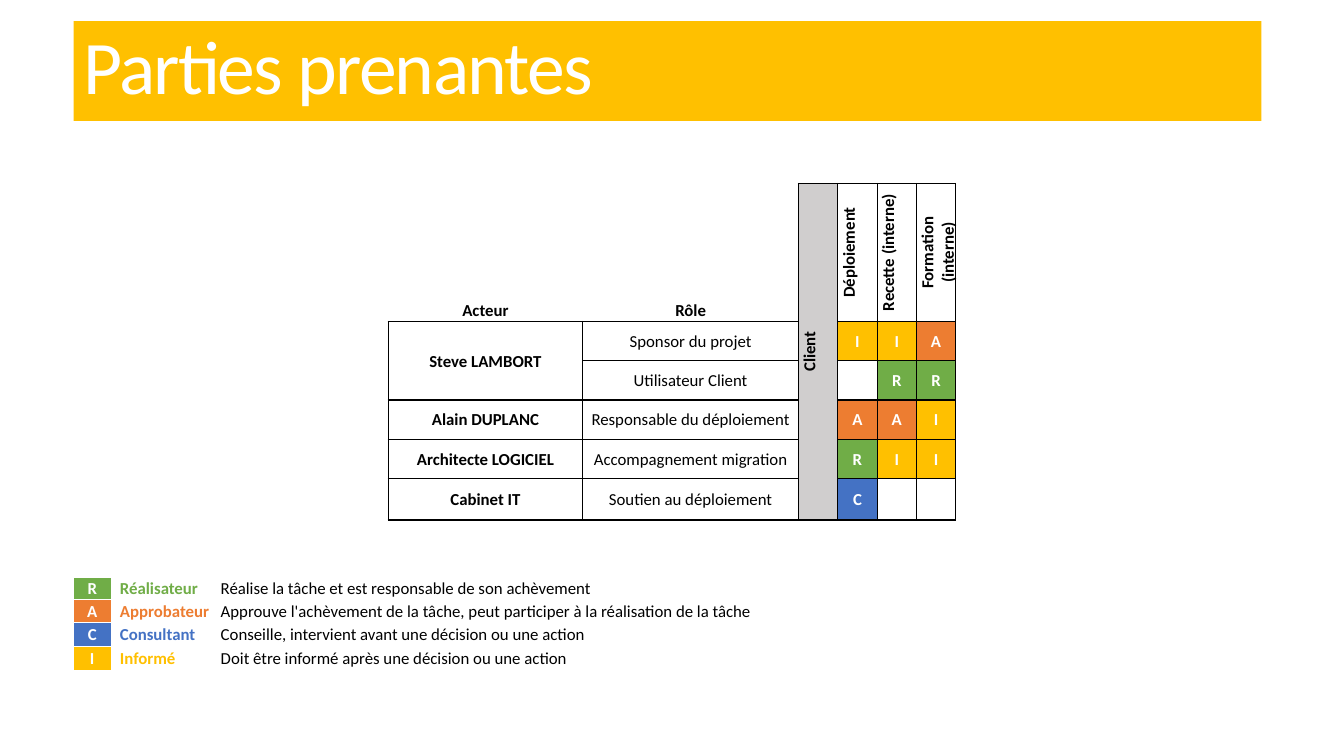
import pptx
import pptx.util
import pptx.dml.color
import pptx.enum.shapes
import pptx.enum.text
from lxml import etree
from pptx.util import Inches

FONT = "Calibri"
BLACK, WHITE, GREY, GOLD = "000000", "FFFFFF", "D0CECE", "FFC000"
CODE_COLORS = {"R": "70AD47", "A": "ED7D31", "C": "4472C4", "I": GOLD}
CENTER = pptx.enum.text.PP_ALIGN.CENTER
LEFT = pptx.enum.text.PP_ALIGN.LEFT
MIDDLE = pptx.enum.text.MSO_ANCHOR.MIDDLE
BOTTOM = pptx.enum.text.MSO_ANCHOR.BOTTOM
A = "{http://schemas.openxmlformats.org/drawingml/2006/main}"

HEADERS = ["Acteur", "Rôle", "Client", "Déploiement", "Recette (interne)",
           "Formation (interne)"]
ACTORS = [
    ("Steve LAMBORT", "Sponsor du projet", "I", "I", "A"),
    ("", "Utilisateur Client", "", "R", "R"),
    ("Alain DUPLANC", "Responsable du déploiement", "A", "A", "I"),
    ("Architecte LOGICIEL", "Accompagnement migration", "R", "I", "I"),
    ("Cabinet IT", "Soutien au déploiement", "C", "", ""),
]
LEGEND = [
    ("R", "Réalisateur", "Réalise la tâche et est responsable de son achèvement"),
    ("A", "Approbateur", "Approuve l'achèvement de la tâche, "
                         "peut participer à la réalisation de la tâche"),
    ("C", "Consultant", "Conseille, intervient avant une décision ou une action"),
    ("I", "Informé", "Doit être informé après une décision ou une action"),
]


def rgb(value):
    return pptx.dml.color.RGBColor.from_string(value)


def style_font(font, size, color, bold=False):
    font.name, font.size, font.bold = FONT, pptx.util.Pt(size), bold
    font.color.rgb = rgb(color)


def set_borders(cell, sides, color, width):
    """Draw the listed sides (a subset of "LRTB") and clear the others."""
    properties = cell._tc.get_or_add_tcPr()
    for side in "LRTB":
        line = etree.SubElement(properties, f"{A}ln{side}",
                                w=str(pptx.util.Pt(width)))
        if side in sides:
            fill = etree.SubElement(line, f"{A}solidFill")
            etree.SubElement(fill, f"{A}srgbClr", val=color)
        else:
            etree.SubElement(line, f"{A}noFill")


def fill_cell(cell, text, color=BLACK, bold=True, fill=WHITE, align=CENTER,
              anchor=MIDDLE, left=0.01, vertical=False):
    if fill:
        cell.fill.solid()
        cell.fill.fore_color.rgb = rgb(fill)
    else:
        cell.fill.background()
    cell.margin_left = Inches(left)
    cell.margin_right = cell.margin_top = Inches(0.01)
    cell.margin_bottom = 0
    cell.vertical_anchor = anchor
    if vertical:
        cell._tc.get_or_add_tcPr().set("vert", "vert270")
    cell.text_frame.text = text
    paragraph = cell.text_frame.paragraphs[0]
    paragraph.alignment = align
    style_font(paragraph.font, 12, color, bold)
    for run in paragraph.runs:
        style_font(run.font, 12, color, bold)


def add_grid(slide, left, top, widths, heights):
    table = slide.shapes.add_table(
        len(heights), len(widths), Inches(left), Inches(top),
        Inches(sum(widths)), Inches(sum(heights))).table
    table.first_row = table.horz_banding = False
    for column, width in zip(table.columns, widths):
        column.width = Inches(width)
    for row, height in zip(table.rows, heights):
        row.height = Inches(height)
    return table


def add_title(slide, left, top, width, height):
    banner = slide.shapes.add_shape(
        pptx.enum.shapes.MSO_SHAPE.RECTANGLE,
        Inches(left), Inches(top), Inches(width), Inches(height))
    banner.shadow.inherit = False
    banner.fill.solid()
    banner.fill.fore_color.rgb = rgb(GOLD)
    banner.line.fill.background()
    banner.text_frame.word_wrap = True
    banner.text_frame.vertical_anchor = MIDDLE
    banner.text_frame.text = "Parties prenantes"
    paragraph = banner.text_frame.paragraphs[0]
    paragraph.alignment = LEFT
    paragraph.line_spacing = 0.85
    title = paragraph.runs[0]
    style_font(title.font, 54, WHITE)
    title.font._element.set("spc", "-120")


def add_raci_matrix(slide, left, top):
    table = add_grid(slide, left, top, [1.93, 2.14] + [0.39] * 4,
                     [1.32] + [0.39] * 5)
    header_sides = {0: "B", 1: "RB"}
    for row in range(6):
        for column in range(6):
            sides = header_sides.get(column, "LRTB") if row == 0 else "LRTB"
            set_borders(table.cell(row, column), sides, BLACK, 1)

    # Headers: two flat ones, then the rotated ones
    for column, header in enumerate(HEADERS):
        rotated = column >= 2
        fill_cell(table.cell(0, column), header, vertical=rotated,
                  anchor=MIDDLE if rotated else BOTTOM,
                  fill=GREY if header == "Client" else WHITE)

    # Actors, roles and responsibility codes
    for row, (actor, role, *codes) in enumerate(ACTORS, start=1):
        fill_cell(table.cell(row, 0), actor)
        fill_cell(table.cell(row, 1), role, bold=False)
        fill_cell(table.cell(row, 2), "", fill=GREY)
        for column, code in enumerate(codes, start=3):
            fill_cell(table.cell(row, column), code, WHITE,
                      fill=CODE_COLORS.get(code, WHITE))

    table.cell(0, 2).merge(table.cell(5, 2))
    table.cell(1, 0).merge(table.cell(2, 0))


def add_legend(slide, left, top):
    table = add_grid(slide, left, top, [0.37, 1.08, 5.53],
                     [0.22, 0.22, 0.24, 0.24])
    for row, (code, name, meaning) in enumerate(LEGEND):
        color = CODE_COLORS[code]
        code_cell, name_cell, meaning_cell = table.rows[row].cells
        set_borders(code_cell, "LRTB", WHITE, 0.5)
        set_borders(name_cell, "L", WHITE, 0.5)
        set_borders(meaning_cell, "", WHITE, 0.5)
        fill_cell(code_cell, code, WHITE, fill=color)
        fill_cell(name_cell, name, color, fill=None, align=LEFT, left=0.09)
        fill_cell(meaning_cell, meaning, bold=False, fill=None, align=LEFT)


def main():
    presentation = pptx.Presentation()
    presentation.slide_width = Inches(13.33)
    presentation.slide_height = Inches(7.5)
    slide = presentation.slides.add_slide(presentation.slide_layouts[6])
    add_title(slide, 0.73, 0.21, 11.78, 0.99)
    add_raci_matrix(slide, 3.85, 1.82)
    add_legend(slide, 0.73, 5.73)
    presentation.save("out.pptx")


if __name__ == "__main__":
    main()
